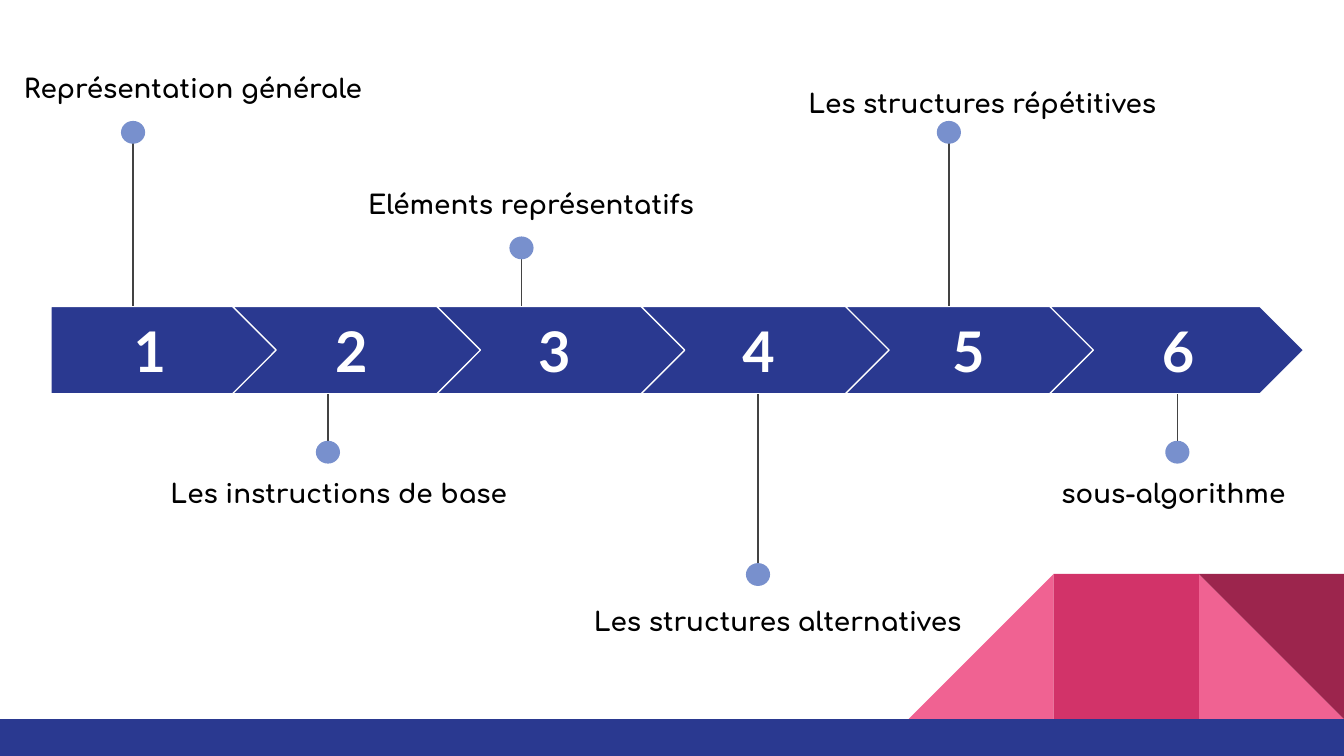
from dataclasses import dataclass

import lxml.etree
import pptx
import pptx.dml.color
import pptx.enum.shapes
import pptx.enum.text
import pptx.oxml.ns
import pptx.util

Inches = pptx.util.Inches
Kind = pptx.enum.shapes.MSO_SHAPE
Align = pptx.enum.text.PP_ALIGN
Anchor = pptx.enum.text.MSO_ANCHOR


@dataclass(frozen=True)
class Theme:
    navy: str = "2A3990"
    dot: str = "7890CD"
    stem: str = "434343"
    white: str = "FFFFFF"
    black: str = "000000"
    pink: str = "F06292"
    rose: str = "D23369"
    wine: str = "9C254D"
    label_font: str = "Comfortaa"
    digit_font: str = "Lato"
    label_size: int = 14
    digit_size: int = 30
    line: float = 0.75


@dataclass(frozen=True)
class Box:
    left: float
    top: float
    width: float
    height: float

    def lengths(self) -> list:
        return [Inches(n) for n in (self.left, self.top, self.width, self.height)]


@dataclass(frozen=True)
class Step:
    label: str
    box: Box
    digit_left: float
    dot_x: float
    dot_top: float
    align: Align = Align.LEFT
    spacing: float = 1.0


@dataclass(frozen=True)
class Facet:
    kind: Kind
    left: float
    color: str
    turn: int = 0


THEME = Theme()
BAR_TOP, BAR_HIGH = 2.28, 0.65
DOT_WIDE, DOT_HIGH = 0.18, 0.17
FIRST_LEFT, NEXT_LEFT, PITCH = 0.38, 1.73, 1.52
FACET_TOP, FACET_SIDE = 4.27, 1.08

STEPS = [
    Step("Représentation générale", Box(0.08, 0.44, 2.78, 0.46), 0.51, 0.99, 0.9),
    Step("Les instructions de base", Box(1.17, 3.45, 2.71, 0.41), 2.01, 2.44, 3.28),
    Step("Eléments représentatifs", Box(2.64, 1.3, 2.78, 0.46), 3.52, 3.88, 1.76),
    Step("Les structures alternatives", Box(4.32, 4.37, 3.05, 0.46), 5.04, 5.64, 4.19,
         spacing=1.15),
    Step("Les structures répétitives", Box(5.88, 0.55, 2.86, 0.35), 6.6, 7.06, 0.9,
         align=Align.CENTER),
    Step("sous-algorithme", Box(7.8, 3.42, 1.94, 0.46), 8.16, 8.76, 3.28, spacing=1.15),
]

FACETS = [
    Facet(Kind.RIGHT_TRIANGLE, 8.92, THEME.pink),
    Facet(Kind.RIGHT_TRIANGLE, 6.76, THEME.pink, 270),
    Facet(Kind.RECTANGLE, 7.84, THEME.rose),
    Facet(Kind.RIGHT_TRIANGLE, 8.92, THEME.wine, 180),
]


def rgb(color: str) -> pptx.dml.color.RGBColor:
    return pptx.dml.color.RGBColor.from_string(color)


def add_form(slide, kind: Kind, box: Box, fill: str, edge: str = ""):
    form = slide.shapes.add_shape(kind, *box.lengths())
    form.shadow.inherit = False
    form.fill.solid()
    form.fill.fore_color.rgb = rgb(fill)
    if edge:
        form.line.color.rgb = rgb(edge)
        form.line.width = pptx.util.Pt(THEME.line)
    else:
        form.line.fill.background()
    return form


def add_text(slide, text: str, box: Box, font: str, size: int, color: str,
             align: Align, anchor: Anchor = Anchor.TOP, spacing: float = 1.0) -> None:
    frame = slide.shapes.add_textbox(*box.lengths()).text_frame
    frame.word_wrap = True
    frame.vertical_anchor = anchor
    frame.margin_left = frame.margin_right = Inches(0.1)
    frame.margin_top = frame.margin_bottom = Inches(0.1)
    para = frame.paragraphs[0]
    para.text = text
    para.alignment = align
    para.line_spacing = spacing
    para.font.name = font
    para.font.size = pptx.util.Pt(size)
    para.font.bold = True
    para.font.color.rgb = rgb(color)


def add_stem(slide, x: float, start: float, end: float) -> None:
    stem = slide.shapes.add_connector(
        pptx.enum.shapes.MSO_CONNECTOR.STRAIGHT,
        Inches(x), Inches(start), Inches(x), Inches(end))
    stem.line.color.rgb = rgb(THEME.stem)
    stem.line.width = pptx.util.Pt(THEME.line)
    lxml.etree.SubElement(stem._element.spPr, pptx.oxml.ns.qn("a:effectLst"))


def add_decor(slide) -> None:
    for facet in FACETS:
        box = Box(facet.left, FACET_TOP, FACET_SIDE, FACET_SIDE)
        form = add_form(slide, facet.kind, box, facet.color)
        form.rotation = facet.turn
    add_form(slide, Kind.RECTANGLE, Box(0, 5.35, 10, 0.28), THEME.navy)


def add_arrow(slide, index: int) -> None:
    """Draw a flat-ended first arrow, then evenly spaced chevrons."""
    if index == 0:
        kind, box = Kind.PENTAGON, Box(FIRST_LEFT, BAR_TOP, 1.72, BAR_HIGH)
    else:
        left = NEXT_LEFT + PITCH * (index - 1)
        kind, box = Kind.CHEVRON, Box(left, BAR_TOP, 1.89, BAR_HIGH)
    arrow = add_form(slide, kind, box, THEME.navy, THEME.white)
    arrow.adjustments[0] = 0.5


def add_pin(slide, step: Step) -> None:
    """Join a dot to the nearer edge of the arrow bar."""
    above = step.dot_top < BAR_TOP
    edge = BAR_TOP if above else BAR_TOP + BAR_HIGH
    add_stem(slide, step.dot_x, step.dot_top + DOT_HIGH / 2, edge)
    add_form(slide, Kind.OVAL,
             Box(step.dot_x - DOT_WIDE / 2, step.dot_top, DOT_WIDE, DOT_HIGH), THEME.dot)


def add_step(slide, index: int, step: Step) -> None:
    add_arrow(slide, index)
    add_text(slide, str(index + 1), Box(step.digit_left, 2.4, 1.21, 0.41),
             THEME.digit_font, THEME.digit_size, THEME.white, Align.CENTER, Anchor.MIDDLE)
    add_pin(slide, step)
    add_text(slide, step.label, step.box, THEME.label_font, THEME.label_size,
             THEME.black, step.align, spacing=step.spacing)


def main() -> None:
    deck = pptx.Presentation()
    deck.slide_width = Inches(10)
    deck.slide_height = deck.slide_width * 9 // 16
    slide = deck.slides.add_slide(deck.slide_layouts.get_by_name("Blank"))
    add_decor(slide)
    for index, step in enumerate(STEPS):
        add_step(slide, index, step)
    deck.save("out.pptx")


if __name__ == "__main__":
    main()
